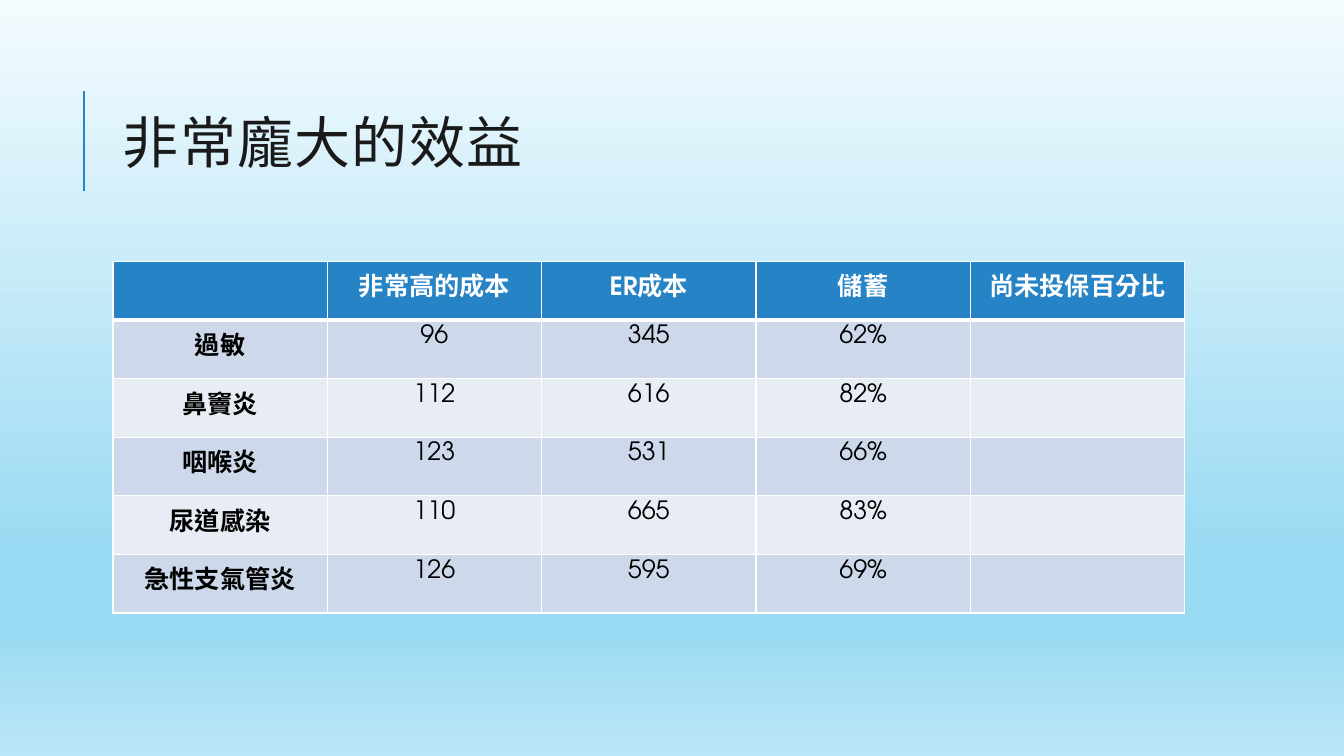
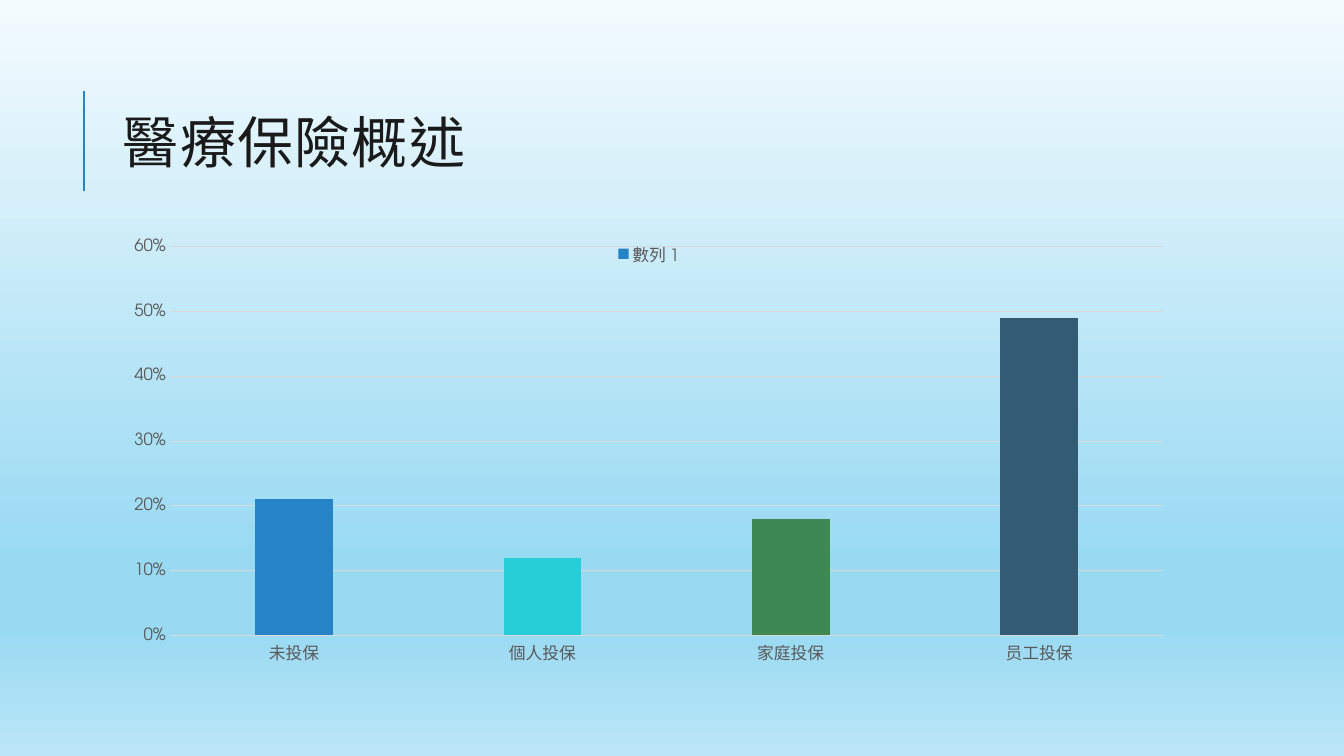
from dataclasses import dataclass

from lxml import etree
from pptx import Presentation
from pptx.chart.data import CategoryChartData
from pptx.dml.color import RGBColor
from pptx.enum.chart import XL_CHART_TYPE, XL_LEGEND_POSITION, XL_TICK_MARK
from pptx.enum.lang import MSO_LANGUAGE_ID
from pptx.enum.shapes import MSO_CONNECTOR
from pptx.enum.text import MSO_ANCHOR, PP_ALIGN
from pptx.oxml.ns import qn
from pptx.util import Inches, Pt

COLUMNS = XL_CHART_TYPE.COLUMN_CLUSTERED
LEGEND_TOP = XL_LEGEND_POSITION.TOP
NO_TICK = XL_TICK_MARK.NONE
STRAIGHT = MSO_CONNECTOR.STRAIGHT
MIDDLE = MSO_ANCHOR.MIDDLE
CENTER = PP_ALIGN.CENTER
CHINESE = MSO_LANGUAGE_ID.TRADITIONAL_CHINESE


@dataclass(frozen=True)
class Theme:
    font: str = "TeX Gyre Adventor"
    title_size: int = 40
    table_size: int = 18
    chart_size: int = 12
    accent: str = "2683C6"
    title: str = "1A1A1A"
    body: str = "000000"
    white: str = "FFFFFF"
    label: str = "595959"
    grid: str = "D9D9D9"
    stripes: tuple = ("CDD9EA", "E8EDF5")
    bars: tuple = ("2683C6", "27CED7", "3E8853", "335B74")
    sky: tuple = ((0, "F4FBFE"), (74, "99DAF3"), (83, "99DAF3"), (100, "BBE6F7"))


THEME = Theme()
WIDTH, HEIGHT = Inches(13.333), Inches(7.5)
LEFT, SPAN = 8.4, 79.75

TABLE_ROWS = (
    ("", "非常高的成本", "ER成本", "儲蓄", "尚未投保百分比"),
    ("過敏", "96", "345", "62%", ""),
    ("鼻竇炎", "112", "616", "82%", ""),
    ("咽喉炎", "123", "531", "66%", ""),
    ("尿道感染", "110", "665", "83%", ""),
    ("急性支氣管炎", "126", "595", "69%", ""),
)
COVERAGE = {"未投保": 0.21, "個人投保": 0.12, "家庭投保": 0.18, "员工投保": 0.49}


def across(percent):
    return round(WIDTH * percent / 100)


def down(percent):
    return round(HEIGHT * percent / 100)


def frame(top, height):
    return across(LEFT), down(top), across(SPAN), down(height)


def rgb(value):
    return RGBColor.from_string(value)


def style_font(font, size, color, bold=False):
    font.name = THEME.font
    font.size = Pt(size)
    font.bold = bold
    font.color.rgb = rgb(color)


def add_span(para, text, size, color, bold=False):
    span = para.add_run()
    span.text = text
    style_font(span.font, size, color, bold)
    span.font.language_id = CHINESE
    return span


def add_color(parent, value):
    etree.SubElement(parent, qn("a:srgbClr"), val=value)


def paint_background(master):
    fill = master.background.fill
    fill.gradient()
    gradient = master.element.find(".//" + qn("a:gradFill"))
    stops = gradient.find(qn("a:gsLst"))
    for stop in list(stops):
        stops.remove(stop)
    for position, value in THEME.sky:
        stop = etree.SubElement(stops, qn("a:gs"), pos=str(position * 1000))
        add_color(stop, value)
    fill.gradient_angle = 270


def add_page(deck, title):
    page = deck.slides.add_slide(deck.slide_layouts[6])
    rule = page.shapes.add_connector(
        STRAIGHT, across(6.25), down(25.3), across(6.25), down(12.1))
    rule.line.color.rgb = rgb(THEME.accent)
    rule.line.width = Pt(1.5)
    etree.SubElement(rule.element.spPr, qn("a:effectLst"))
    text = page.shapes.add_textbox(*frame(8.5, 21.9)).text_frame
    text.word_wrap = True
    text.vertical_anchor = MIDDLE
    para = text.paragraphs[0]
    para.line_spacing = 0.8
    span = add_span(para, title, THEME.title_size, THEME.title)
    span.font._element.set("spc", "100")
    return page


def add_borders(cell, top, bottom):
    properties = cell._tc.get_or_add_tcPr()
    for side, points in (("L", 1), ("R", 1), ("T", top), ("B", bottom)):
        line = etree.SubElement(properties, qn("a:ln" + side), w=str(Pt(points)))
        add_color(etree.SubElement(line, qn("a:solidFill")), THEME.white)


def fill_cell(cell, text, row, column):
    header = row == 0
    add_borders(cell, top=3 if row == 1 else 1, bottom=3 if header else 1)
    cell.fill.solid()
    cell.fill.fore_color.rgb = rgb(
        THEME.accent if header else THEME.stripes[(row - 1) % 2])
    if text:
        para = cell.text_frame.paragraphs[0]
        para.alignment = CENTER
        add_span(para, text, THEME.table_size,
                 THEME.white if header else THEME.body, header or column == 0)


def add_cost_table(page, rows):
    box = frame(34.6, 46.5)
    table = page.shapes.add_table(len(rows), len(rows[0]), *box).table
    for row, texts in enumerate(rows):
        for column, text in enumerate(texts):
            fill_cell(table.cell(row, column), text, row, column)


def style_axis(axis):
    axis.major_tick_mark = NO_TICK
    axis.minor_tick_mark = NO_TICK
    style_font(axis.tick_labels.font, THEME.chart_size, THEME.label)


def style_line(line):
    line.color.rgb = rgb(THEME.grid)
    line.width = Pt(0.75)


def add_coverage_chart(page, values):
    data = CategoryChartData(number_format="0%")
    data.categories = list(values)
    data.add_series("數列 1", list(values.values()))
    chart = page.shapes.add_chart(COLUMNS, *frame(30.4, 58.7), data).chart
    style_font(chart.font, THEME.chart_size, THEME.label)
    chart.has_title = False
    chart.has_legend = True
    chart.legend.position = LEGEND_TOP
    chart.legend.include_in_layout = True
    style_font(chart.legend.font, THEME.chart_size, THEME.label)

    style_axis(chart.category_axis)
    style_line(chart.category_axis.format.line)
    scale = chart.value_axis
    style_axis(scale)
    scale.minimum_scale, scale.maximum_scale, scale.major_unit = 0, 0.6, 0.1
    scale.tick_labels.number_format = "0%"
    scale.tick_labels.number_format_is_linked = False
    scale.format.line.fill.background()
    style_line(scale.major_gridlines.format.line)

    plot = chart.plots[0]
    plot.gap_width = 219
    plot.overlap = -27
    plot.vary_by_categories = False
    series = plot.series[0]
    series.format.fill.solid()
    series.format.fill.fore_color.rgb = rgb(THEME.accent)
    for index, value in enumerate(THEME.bars):
        fill = series.points[index].format.fill
        fill.solid()
        fill.fore_color.rgb = rgb(value)


def main():
    deck = Presentation()
    deck.slide_width, deck.slide_height = WIDTH, HEIGHT
    paint_background(deck.slide_master)
    add_cost_table(add_page(deck, "非常龐大的效益"), TABLE_ROWS)
    add_coverage_chart(add_page(deck, "醫療保險概述"), COVERAGE)
    deck.save("out.pptx")


if __name__ == "__main__":
    main()
